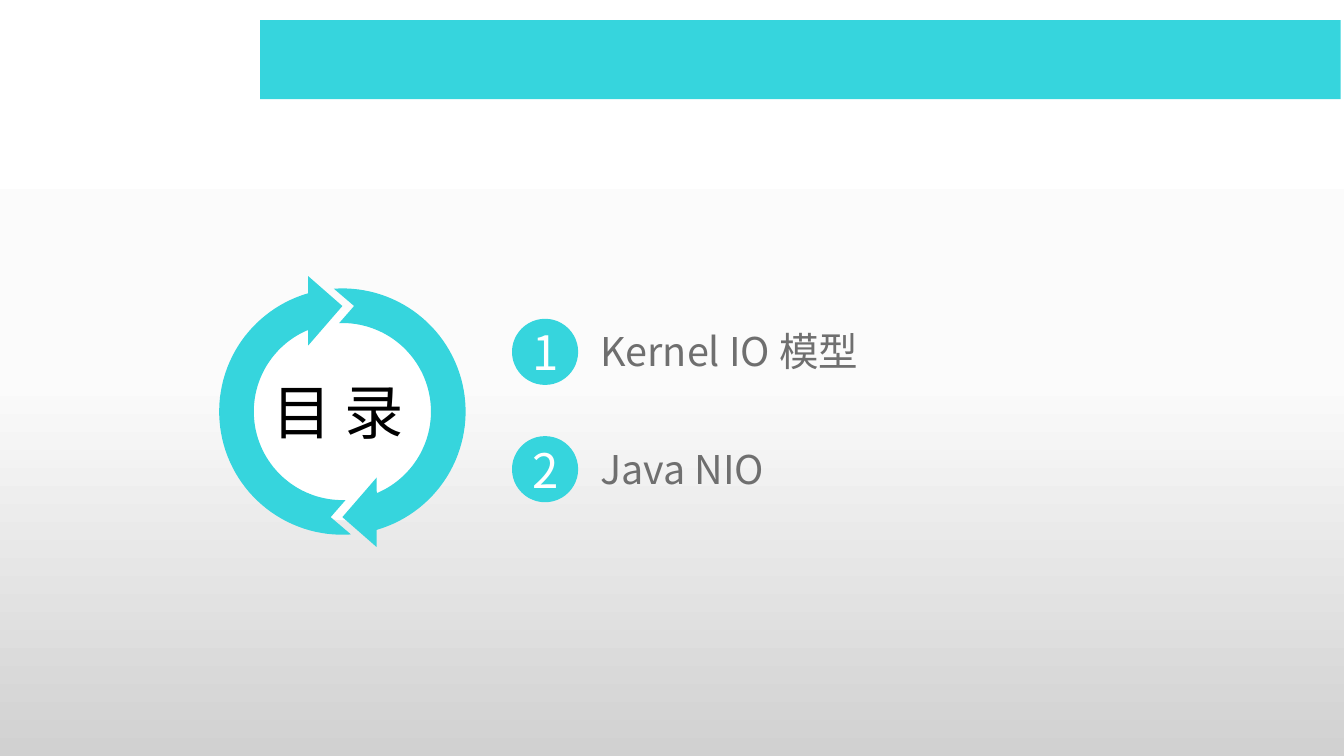
from copy import deepcopy
from dataclasses import dataclass
from math import atan2, cos, hypot, pi, sin

from lxml.etree import SubElement
from pptx import Presentation
from pptx.dml.color import RGBColor
from pptx.enum.shapes import MSO_SHAPE as Preset
from pptx.enum.text import MSO_ANCHOR as Anchor, MSO_AUTO_SIZE as AutoSize, PP_ALIGN as Align
from pptx.oxml.ns import qn
from pptx.util import Inches, Pt

COLORS = {
    "accent": "36D5DD",
    "white": "FFFFFF",
    "title": "000000",
    "topic": "6F6F6F",
    "middle": "FBFBFB",
    "bottom": "D1D1D1",
}
FONT = "Noto Sans CJK SC"
RING_CENTER = (3.21, 3.86)
Point = tuple[float, float]


@dataclass
class Box:
    left: float
    top: float
    width: float
    height: float

    def lengths(self) -> list[int]:
        return [Inches(value) for value in (self.left, self.top, self.width, self.height)]


@dataclass
class Topic:
    number: str
    text: str
    top: float


TOPICS = [Topic("1", "Kernel IO 模型", 2.99), Topic("2", "Java NIO", 4.09)]


def color(name: str) -> RGBColor:
    return RGBColor.from_string(COLORS[name])


def paint(shape, fill: str) -> None:
    shape.shadow.inherit = False
    shape.fill.solid()
    shape.fill.fore_color.rgb = color(fill)
    shape.line.fill.background()


def add_preset(slide, preset: Preset, box: Box, fill: str):
    shape = slide.shapes.add_shape(preset, *box.lengths())
    paint(shape, fill)
    return shape


def write(shape, text: str, size: float, font_color: str,
          align: Align = Align.LEFT, anchor: Anchor = Anchor.TOP) -> None:
    frame = shape.text_frame
    frame.text = text
    frame.word_wrap = True
    frame.auto_size = AutoSize.NONE
    frame.vertical_anchor = anchor
    paragraph = frame.paragraphs[0]
    paragraph.alignment = align
    paragraph.font.size = Pt(size)
    paragraph.font.name = FONT
    paragraph.font.color.rgb = color(font_color)
    for properties in shape.element.iter(qn("a:defRPr")):
        SubElement(properties, qn("a:ea"), typeface=FONT)


def arc(start: Point, end: Point, clockwise: bool, steps: int = 60) -> list[Point]:
    radius = hypot(*start)
    first = atan2(start[1], start[0])
    sweep = (atan2(end[1], end[0]) - first) % (2 * pi)
    if not clockwise:
        sweep -= 2 * pi
    angles = [first + sweep * step / steps for step in range(steps + 1)]
    return [(radius * cos(angle), radius * sin(angle)) for angle in angles]


def arrow_outline() -> list[Point]:
    inner = arc((0.03, 0.83), (-0.32, -0.76), clockwise=True)
    head = [(-0.32, -0.62), (0, -0.99), (-0.32, -1.27)]
    outer = arc((-0.32, -1.11), (0.08, 1.15), clockwise=False)
    return inner + head + outer + [(-0.11, 0.99)]


def add_ring_arrow(slide, direction: int) -> None:
    points = [
        (Inches(RING_CENTER[0] + direction * x), Inches(RING_CENTER[1] + direction * y))
        for x, y in arrow_outline()
    ]
    builder = slide.shapes.build_freeform(*points[0])
    builder.add_line_segments(points[1:])
    paint(builder.convert_to_shape(), "accent")


def set_background(slide) -> None:
    fill = slide.background.fill
    fill.gradient()
    fill.gradient_angle = 270
    stop_list = slide.element.find(".//" + qn("a:gsLst"))
    stop_list.insert(1, deepcopy(stop_list[0]))
    for stop, position, name in zip(fill.gradient_stops, (0, 0.5, 1), ("white", "middle", "bottom")):
        stop.position = position
        stop.color.rgb = color(name)


def add_title(slide) -> None:
    title = slide.shapes.title
    title.left, title.top, title.width, title.height = Box(2.45, 3.47, 1.54, 0.77).lengths()
    write(title, "目 录", 40, "title")
    slide.shapes[-1].element.addnext(title.element)


def add_topic(slide, topic: Topic) -> None:
    badge = add_preset(slide, Preset.OVAL, Box(4.8, topic.top, 0.62, 0.62), "accent")
    write(badge, topic.number, 32, "white", Align.CENTER, Anchor.MIDDLE)
    label = slide.shapes.add_textbox(*Box(5.53, topic.top + 0.03, 3.45, 0.55).lengths())
    write(label, topic.text, 26.7, "topic")


def main() -> None:
    """Build the contents slide and save it."""
    presentation = Presentation()
    presentation.slide_width = Inches(12.6)
    presentation.slide_height = Inches(7.09)
    slide = presentation.slides.add_slide(presentation.slide_layouts.get_by_name("Title Only"))
    set_background(slide)
    add_preset(slide, Preset.RECTANGLE, Box(2.44, 0.19, 10.13, 0.74), "accent")
    add_preset(slide, Preset.OVAL, Box(2.25, 2.91, 2, 1.97), "white")
    for direction in (1, -1):
        add_ring_arrow(slide, direction)
    add_title(slide)
    for topic in TOPICS:
        add_topic(slide, topic)
    presentation.save("out.pptx")


if __name__ == "__main__":
    main()
